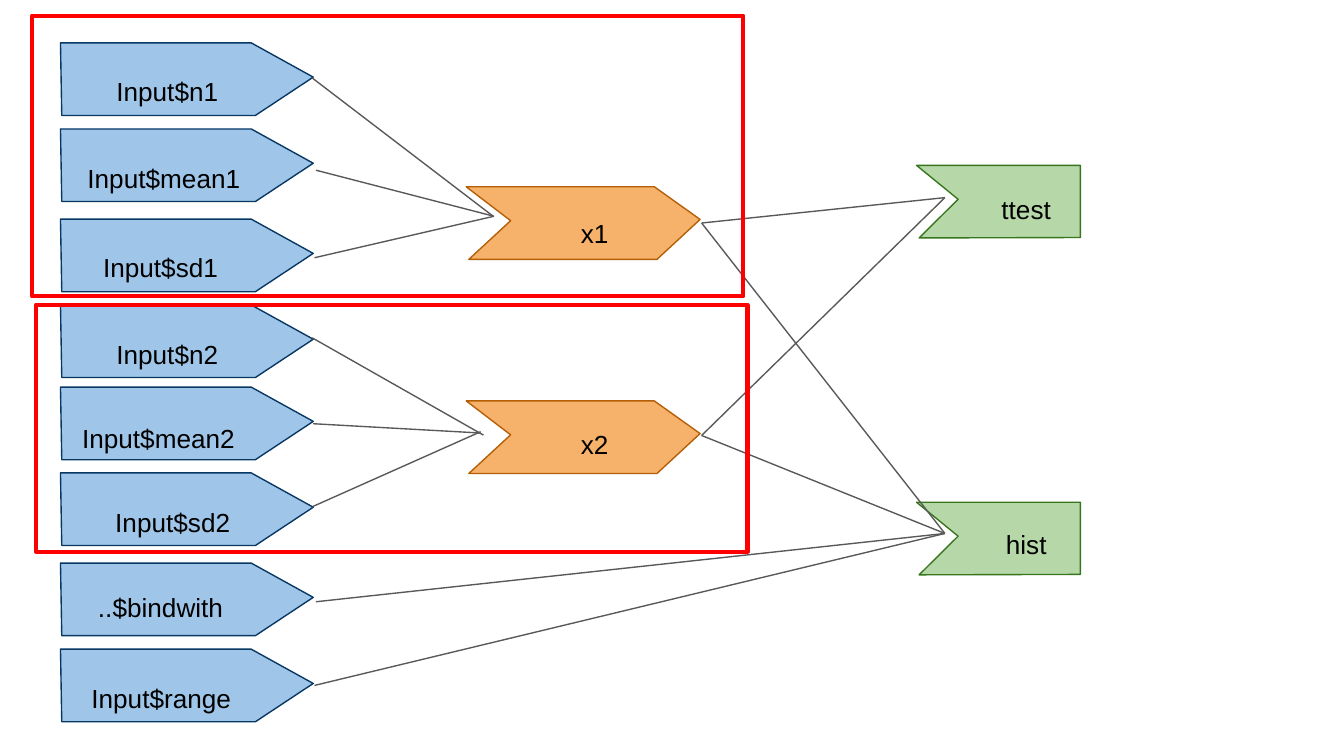
import pptx
import pptx.dml.color
import pptx.enum.shapes
import pptx.enum.text
import pptx.util
from lxml import etree
from pptx.oxml.ns import qn

Pt = pptx.util.Pt
RGBColor = pptx.dml.color.RGBColor

BLUE = RGBColor(0x9F, 0xC5, 0xE8)
NAVY = RGBColor(0x07, 0x37, 0x63)
ORANGE = RGBColor(0xF6, 0xB2, 0x6B)
BROWN = RGBColor(0xB4, 0x5F, 0x06)
LIGHT_GREEN = RGBColor(0xB6, 0xD7, 0xA8)
GREEN = RGBColor(0x38, 0x76, 0x1D)
GRAY = RGBColor(0x59, 0x59, 0x59)
RED = RGBColor(0xFF, 0x00, 0x00)
BLACK = RGBColor(0x00, 0x00, 0x00)

INPUT_OUTLINE = [(0, 0), (0.7, 38.9), (104.4, 38.9), (135.4, 18.4), (102.2, 0)]
CONDUCTOR_OUTLINE = [(0, 0), (23.8, 18.2), (1.4, 38.9), (102.2, 38.9), (125.3, 17.5), (100.8, 0)]
OUTPUT_OUTLINE = [(0, 0), (87.8, 0), (87.8, 38.7), (1.4, 38.9), (22.3, 18.2)]

INPUT_STYLE = (32.4, INPUT_OUTLINE, BLUE, NAVY)
CONDUCTOR_STYLE = (249.8, CONDUCTOR_OUTLINE, ORANGE, BROWN)
OUTPUT_STYLE = (491, OUTPUT_OUTLINE, LIGHT_GREEN, GREEN)

NODES = [
    ("Input$n1", INPUT_STYLE, 23, (46.1, 33.1, 87.1)),
    ("Input$mean1", INPUT_STYLE, 69.1, (36.7, 79.9, 102.2)),
    ("Input$sd1", INPUT_STYLE, 117.4, (42.5, 127.4, 87.1)),
    ("Input$n2", INPUT_STYLE, 163.4, (46.1, 174.2, 87.1)),
    ("Input$mean2", INPUT_STYLE, 207.4, (36.7, 218.9, 96.5)),
    ("Input$sd2", INPUT_STYLE, 253.4, (49, 264.2, 87.1)),
    ("..$bindwith", INPUT_STYLE, 301.7, (42.5, 309.6, 87.1)),
    ("Input$range", INPUT_STYLE, 347.8, (36.7, 358.6, 99.4)),
    ("x1", CONDUCTOR_STYLE, 100.1, (275, 109.4, 87.1)),
    ("x2", CONDUCTOR_STYLE, 214.8, (275, 222.5, 87.1)),
    ("ttest", OUTPUT_STYLE, 88.6, (506.2, 96.5, 87.1)),
    ("hist", OUTPUT_STYLE, 269.1, (506.2, 275.8, 87.1)),
]

X1_TIP = (375.9, 119.5)
X2_TIP = (375.9, 233.3)
TTEST_NOTCH = (506.2, 105.9)
HIST_NOTCH = (506.2, 285.8)

LINKS = [
    ((167.3, 41.8), (264, 115.7)),
    ((169.3, 91.2), (264.7, 115.9)),
    ((168.5, 138.1), (264.5, 115.9)),
    ((167.3, 181), (259, 233.1)),
    ((167.8, 227), (257.5, 232)),
    ((167.5, 271.4), (257.5, 231.3)),
    (X1_TIP, TTEST_NOTCH),
    (X2_TIP, TTEST_NOTCH),
    (X1_TIP, HIST_NOTCH),
    (X2_TIP, HIST_NOTCH),
    ((169.2, 322.4), HIST_NOTCH),
    ((168.5, 367.2), HIST_NOTCH),
]

GROUP_FRAMES = [(17.2, 8.4, 381.1, 150.4), (19.4, 163.2, 381.1, 132.4)]


def add_node(slide, style, top):
    left, outline, fill_color, line_color = style
    points = [(Pt(left + x), Pt(top + y)) for x, y in outline]
    builder = slide.shapes.build_freeform(*points[0])
    builder.add_line_segments(points[1:], close=True)
    shape = builder.convert_to_shape()
    shape.shadow.inherit = False
    shape.fill.solid()
    shape.fill.fore_color.rgb = fill_color
    shape.line.color.rgb = line_color
    shape.line.width = Pt(0.75)


def add_label(slide, text, left, top, width):
    box = slide.shapes.add_textbox(Pt(left), Pt(top), Pt(width), Pt(19.4))
    frame = box.text_frame
    frame.word_wrap = True
    frame.vertical_anchor = pptx.enum.text.MSO_ANCHOR.TOP
    frame.margin_left = frame.margin_right = Pt(7.2)
    frame.margin_top = frame.margin_bottom = Pt(7.2)
    frame.text = text
    paragraph = frame.paragraphs[0]
    paragraph.alignment = pptx.enum.text.PP_ALIGN.CENTER
    font = paragraph.runs[0].font
    font.name = "Arial"
    font.size = Pt(14)
    font.color.rgb = BLACK


def add_link(slide, start, end):
    connector = slide.shapes.add_connector(
        pptx.enum.shapes.MSO_CONNECTOR.STRAIGHT, *map(Pt, start + end)
    )
    connector.line.color.rgb = GRAY
    connector.line.width = Pt(0.75)
    etree.SubElement(connector._element.spPr, qn("a:effectLst"))


def add_group_frame(slide, left, top, width, height):
    shape = slide.shapes.add_shape(
        pptx.enum.shapes.MSO_SHAPE.RECTANGLE, Pt(left), Pt(top), Pt(width), Pt(height)
    )
    shape.shadow.inherit = False
    shape.fill.background()
    shape.line.color.rgb = RED
    shape.line.width = Pt(2.25)


def main():
    presentation = pptx.Presentation()
    presentation.slide_width = Pt(720)
    presentation.slide_height = Pt(405)
    slide = presentation.slides.add_slide(presentation.slide_layouts[6])
    for text, style, top, label_place in NODES:
        add_node(slide, style, top)
        add_label(slide, text, *label_place)
    for start, end in LINKS:
        add_link(slide, start, end)
    for frame in GROUP_FRAMES:
        add_group_frame(slide, *frame)
    presentation.save("out.pptx")


if __name__ == "__main__":
    main()
